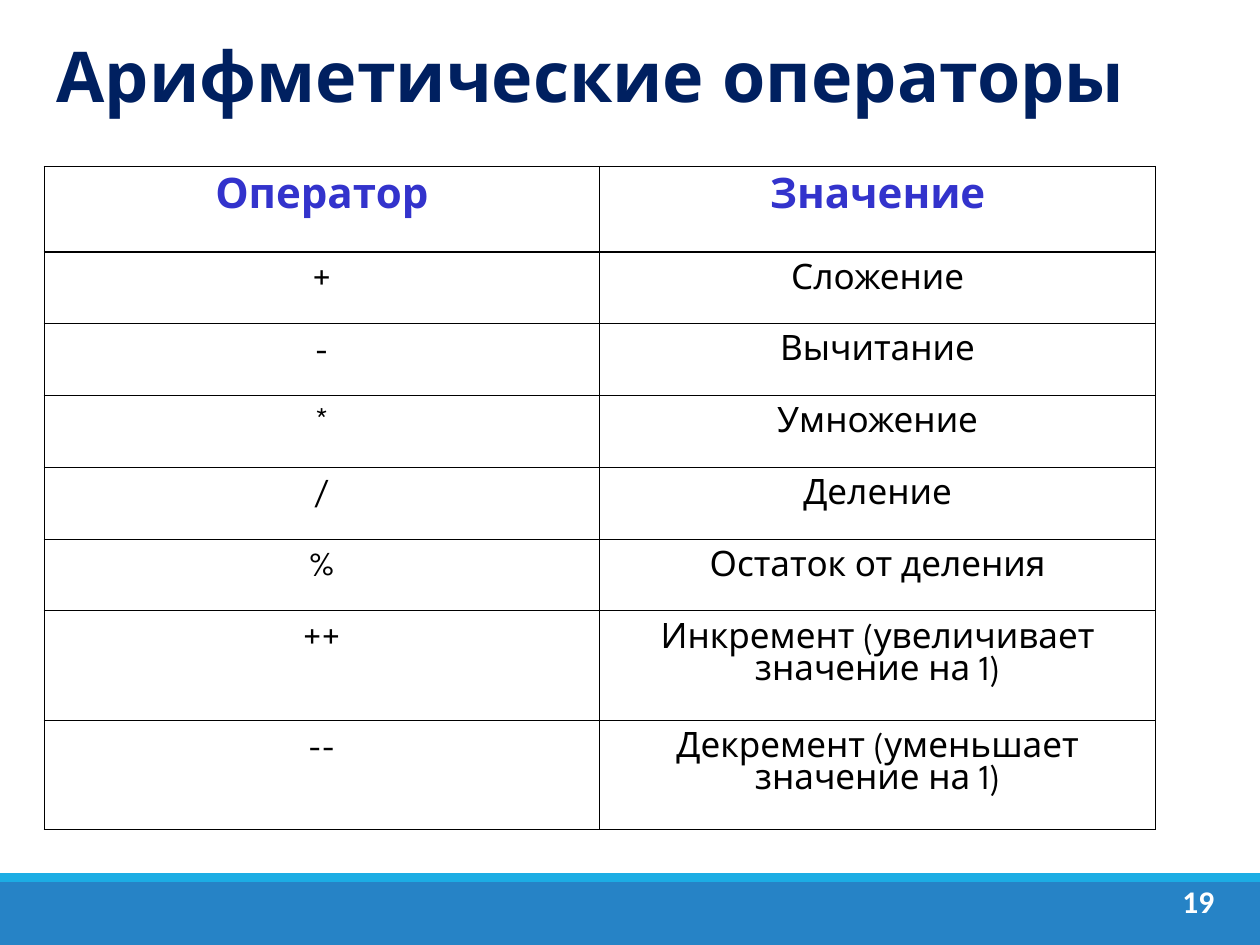
from lxml.etree import SubElement
from pptx import Presentation
from pptx.dml.color import RGBColor
from pptx.enum.shapes import MSO_SHAPE
from pptx.enum.text import MSO_ANCHOR, MSO_AUTO_SIZE, PP_ALIGN
from pptx.oxml.ns import qn
from pptx.util import Inches, Pt

NAVY = RGBColor(0x00, 0x20, 0x60)
INDIGO = RGBColor(0x33, 0x33, 0xCC)
BLUE = RGBColor(0x26, 0x83, 0xC6)
CYAN = RGBColor(0x1C, 0xAD, 0xE4)
BLACK = RGBColor(0x00, 0x00, 0x00)
WHITE = RGBColor(0xFF, 0xFF, 0xFF)

TITLE = {"name": "League Spartan", "size": Pt(40), "bold": True}
HEADER = {"name": "League Spartan", "size": Pt(24), "bold": True}
BODY = {"name": "League Spartan", "size": Pt(20), "bold": False}
NUMBER = {"name": "Calibri", "size": Pt(18), "bold": True}

ROWS = [
    ("Оператор", "Значение"),
    ("+", "Сложение"),
    ("-", "Вычитание"),
    ("*", "Умножение"),
    ("/", "Деление"),
    ("%", "Остаток от деления"),
    ("++", "Инкремент (увеличивает значение на 1)"),
    ("--", "Декремент (уменьшает значение на 1)"),
]
ROW_HEIGHTS = [0.68] + [0.57] * 5 + [0.83] * 2
COLUMN_WIDTH = 4.41


def write(frame, text, style, color, align):
    para = frame.paragraphs[0]
    para.alignment = align
    span = para.add_run()
    span.text = text
    for name, value in style.items():
        setattr(span.font, name, value)
    span.font.color.rgb = color


def add_borders(cell):
    properties = cell._tc.get_or_add_tcPr()
    for position, side in enumerate(("lnL", "lnR", "lnT", "lnB")):
        line = SubElement(properties, qn(f"a:{side}"), w=str(Pt(0.75)))
        fill = SubElement(line, qn("a:solidFill"))
        SubElement(fill, qn("a:srgbClr"), val=str(BLACK))
        properties.insert(position, line)


deck = Presentation()
deck.slide_width, deck.slide_height = Inches(10), Inches(7.5)
page = deck.slides.add_slide(deck.slide_layouts[5])

# Footer bands
for top, height, color in ((7, 0.5, BLUE), (6.93, 0.07, CYAN)):
    band = page.shapes.add_shape(
        MSO_SHAPE.RECTANGLE, 0, Inches(top), Inches(10), Inches(height))
    band.shadow.inherit = False
    band.fill.solid()
    band.fill.fore_color.rgb = color
    band.line.fill.background()

# Title
title = page.shapes.title
title.left, title.top = Inches(0.35), Inches(0.28)
title.width, title.height = Inches(8.82), Inches(0.63)
title.text_frame.auto_size = MSO_AUTO_SIZE.NONE
title.text_frame.vertical_anchor = MSO_ANCHOR.MIDDLE
write(title.text_frame, "Арифметические операторы", TITLE, NAVY, PP_ALIGN.LEFT)

# Page number
box = page.shapes.add_textbox(Inches(9.27), Inches(6.95), Inches(0.48), Inches(0.4))
box.text_frame.word_wrap = True
write(box.text_frame, "19", NUMBER, WHITE, PP_ALIGN.CENTER)

# Operator table
table = page.shapes.add_table(
    len(ROWS), 2, Inches(0.35), Inches(1.32),
    Inches(2 * COLUMN_WIDTH), Inches(sum(ROW_HEIGHTS))).table
for column in table.columns:
    column.width = Inches(COLUMN_WIDTH)
for index, (row, texts) in enumerate(zip(table.rows, ROWS)):
    row.height = Inches(ROW_HEIGHTS[index])
    style, color = (BODY, BLACK) if index else (HEADER, INDIGO)
    for cell, text in zip(row.cells, texts):
        for side in ("left", "top", "right", "bottom"):
            setattr(cell, f"margin_{side}", Inches(0.1))
        cell.fill.background()
        add_borders(cell)
        write(cell.text_frame, text, style, color, PP_ALIGN.CENTER)

deck.save("out.pptx")
